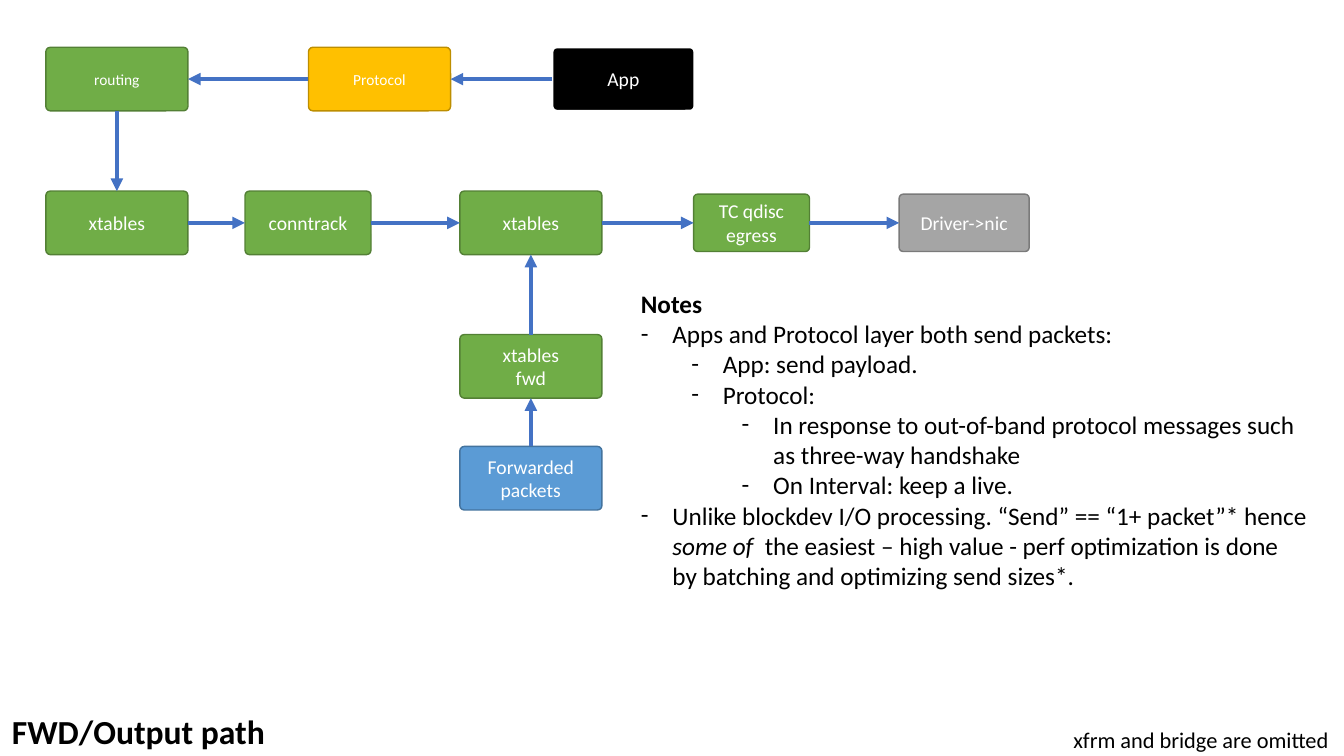
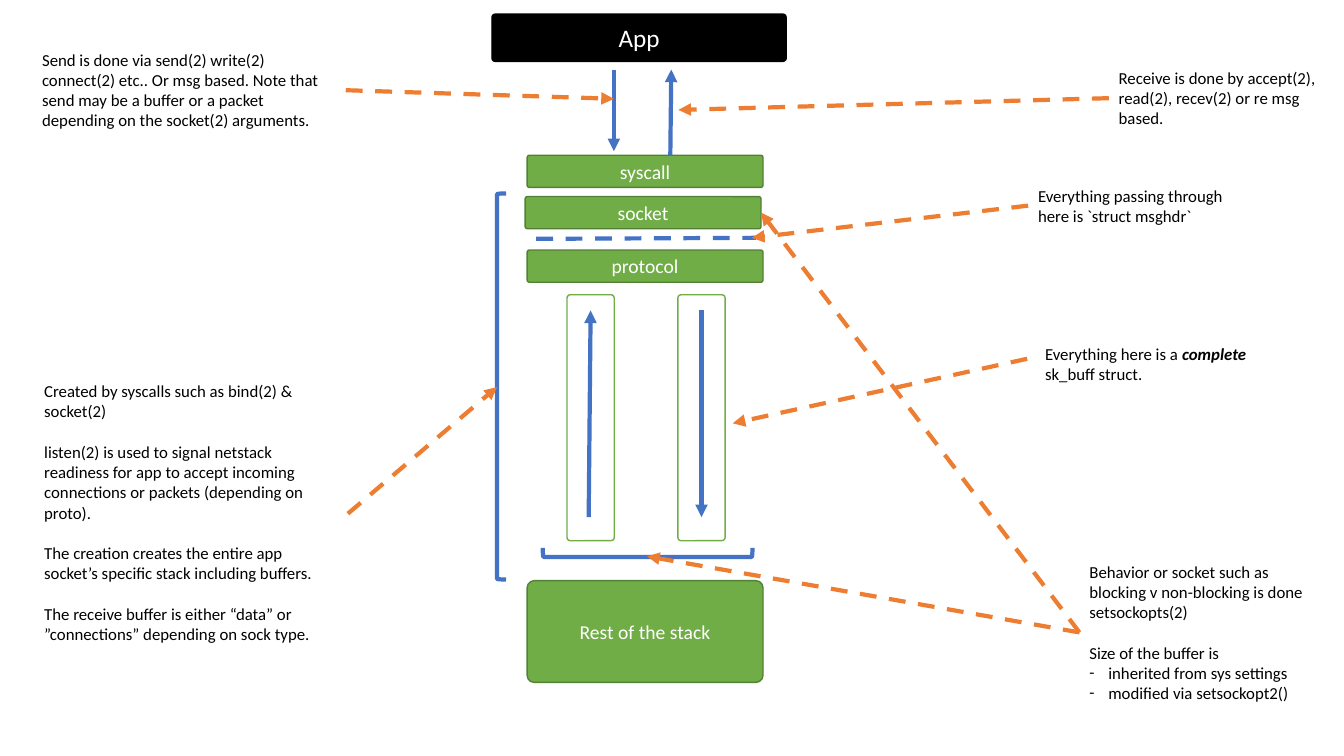
import pptx
import pptx.util
import pptx.dml.color
import pptx.enum.dml
import pptx.enum.shapes
import pptx.enum.text
import pptx.oxml.ns
import lxml.etree

Pt = pptx.util.Pt
RGB = pptx.dml.color.RGBColor
SHAPE = pptx.enum.shapes.MSO_SHAPE
qn = pptx.oxml.ns.qn

FONT = "Calibri"
BLACK = RGB(0x00, 0x00, 0x00)
WHITE = RGB(0xFF, 0xFF, 0xFF)
GREEN = RGB(0x70, 0xAD, 0x47)
DARK_GREEN = RGB(0x53, 0x80, 0x35)
GOLD = RGB(0xFF, 0xC0, 0x00)
DARK_GOLD = RGB(0xBD, 0x8E, 0x00)
GRAY = RGB(0xA5, 0xA5, 0xA5)
DARK_GRAY = RGB(0x7A, 0x7A, 0x7A)
SKY = RGB(0x5B, 0x9B, 0xD5)
DARK_SKY = RGB(0x43, 0x73, 0x9E)
BLUE = RGB(0x44, 0x72, 0xC4)
ORANGE = RGB(0xED, 0x7D, 0x31)

KERNEL = (GREEN, DARK_GREEN, 1)
PROTOCOL = (GOLD, DARK_GOLD, 1)
NIC = (GRAY, DARK_GRAY, 1)
FORWARDED = (SKY, DARK_SKY, 1)
APP = (BLACK, WHITE, 1.5)
APP_SOLID = (BLACK, BLACK, 1)
BUFFER = (WHITE, GREEN, 1)

TOP, LEFT, BOTTOM, RIGHT = range(4)
LINE_GAP = 14.6

ROW_APP, ROW_OUTPUT, ROW_FWD, ROW_IN = 56.5, 159.2, 261.7, 341.6
COL_LEFT, COL_MID = 83.5, 379.2
NODE = (101.5, 45.4)

PATH_BOXES = {
    "routing": (["routing"], (COL_LEFT, ROW_APP), NODE, KERNEL, 11),
    "protocol": (["Protocol"], (271.1, ROW_APP), NODE, PROTOCOL, 11),
    "app": (["App"], (445.3, ROW_APP), NODE, APP, 14),
    "output": (["xtables"], (COL_LEFT, ROW_OUTPUT), NODE, KERNEL, 14),
    "conntrack": (["conntrack"], (220, ROW_OUTPUT), (90, 45.4), KERNEL, 14),
    "post": (["xtables"], (COL_MID, ROW_OUTPUT), NODE, KERNEL, 14),
    "qdisc": (["TC qdisc egress"], (536.8, ROW_OUTPUT), (82.8, 41), KERNEL, 14),
    "nic": (["Driver->nic"], (688.7, ROW_OUTPUT), (92.9, 41), NIC, 14),
    "fwd": (["xtables", "fwd"], (COL_MID, ROW_FWD), NODE, KERNEL, 14),
    "in": (["Forwarded packets"], (COL_MID, ROW_IN), NODE, FORWARDED, 14),
}
PATH_ARROWS = [
    ("app", LEFT, "protocol", RIGHT),
    ("protocol", LEFT, "routing", RIGHT),
    ("routing", BOTTOM, "output", TOP),
    ("output", RIGHT, "conntrack", LEFT),
    ("conntrack", RIGHT, "post", LEFT),
    ("post", RIGHT, "qdisc", LEFT),
    ("qdisc", RIGHT, "nic", LEFT),
    ("in", TOP, "fwd", BOTTOM),
    ("fwd", TOP, "post", BOTTOM),
]
PATH_TEXTS = [
    ((1.4, 504, 240, 36), 24, 0, [(None, 0, [("FWD/Output path", "b")])]),
    ((759.6, 514.8, 200, 26.6), 16, 0,
     [(None, 0, [("xfrm and bridge are omitted", "")])]),
    ((450.7, 202.3, 491, 225.4), 18, 22.5, [
        (None, 0, [("Notes", "b")]),
        (0, 0, [("Apps and Protocol layer both send packets:", "")]),
        (1, 0, [("App: send payload.", "")]),
        (1, 0, [("Protocol:", "")]),
        (2, 0, [("In response to out-of-band protocol messages such as "
                 "three-way handshake", "")]),
        (2, 0, [("On Interval: keep a live.", "")]),
        (0, 0, [("Unlike blockdev I/O processing. “Send” == “1+ packet”* hence ", ""),
                ("some of ", "i"),
                (" the easiest – high value - perf optimization is done by "
                 "batching and optimizing send sizes*.", "")]),
    ]),
]

STACK_X = 460.8
LAYER = (168.5, 23)
STACK_BOXES = {
    "up_buffer": ([], (421.9, 298.4), (33.8, 175.7), BUFFER, 14),
    "down_buffer": ([], (501.1, 298.4), (33.8, 175.7), BUFFER, 14),
    "app": (["App"], (456.5, 27), (210.2, 33.8), APP_SOLID, 18),
    "syscall": (["syscall"], (STACK_X, 122.4), LAYER, KERNEL, 14),
    "socket": (["socket"], (459.4, 151.9), LAYER, KERNEL, 14),
    "protocol": (["protocol"], (STACK_X, 190.1), LAYER, KERNEL, 14),
    "rest": (["Rest of the stack"], (STACK_X, 451.1), (168.5, 72.7), KERNEL, 14),
}
STACK_FLOWS = [
    ((438.5, 49.7), (438.5, 108)),
    ((478.8, 110.9), (479.5, 49.7)),
    ((420.5, 369.4), (421.9, 221.8)),
    ((501.1, 221.8), (501.1, 369.4)),
]
MSGHDR_LINE = ((383, 170.6), (540, 169.9))
BRACKETS = [((358.2, 276.1), (6.5, 275.8), 0), ((462.6, 394.6), (6.5, 149.8), 270)]
STACK_TEXTS = {
    "create": ((24.5, 268.6, 224, 196.6), 12, 0, [
        (None, 0, [("Created by syscalls such as bind(2) & socket(2)", "")]),
        (None, LINE_GAP, [("listen(2) is used to signal netstack readiness for app to "
                           "accept incoming connections or packets (depending on proto).", "")]),
        (None, LINE_GAP, [("The creation creates the entire app socket’s specific "
                           "stack including buffers.", "")]),
        (None, LINE_GAP, [("The receive buffer is either “data” or ”connections” "
                           "depending on sock type.", "")]),
    ]),
    "options": ((771.1, 397.4, 168.5, 108.7), 12, 13.5, [
        (None, 0, [("Behavior or socket such as blocking v non-blocking is done "
                    "setsockopts(2)", "")]),
        (None, LINE_GAP, [("Size of the buffer is", "")]),
        (0, 0, [("inherited from sys settings", "")]),
        (0, 0, [("modified via setsockopt2()", "")]),
    ]),
    "send": ((23, 31.7, 224, 65.5), 12, 0, [
        (None, 0, [("Send is done via send(2) write(2) connect(2) etc.. Or msg based. "
                    "Note that send may be a buffer or a packet depending on the "
                    "socket(2) arguments.", "")]),
    ]),
    "receive": ((792, 44.6, 168.5, 51.1), 12, 0, [
        (None, 0, [("Receive is done by accept(2), read(2), recev(2) or re msg based.", "")]),
    ]),
    "msghdr": ((734.4, 128.9, 168.5, 36), 12, 0, [
        (None, 0, [("Everything passing through here is `struct msghdr`", "")]),
    ]),
    "skbuff": ((739.4, 241.9, 168.5, 36), 12, 0, [
        (None, 0, [("Everything here is a ", ""), ("complete ", "bi"),
                   ("sk_buff struct.", "")]),
    ]),
}
CALLOUTS = [
    ("create", RIGHT, (355, 276.5)),
    ("options", LEFT, "socket"),
    ("options", LEFT, (462.2, 397.4)),
    ("send", RIGHT, (438.5, 70.6)),
    ("receive", LEFT, (484.6, 78.5)),
    ("msghdr", LEFT, (537.1, 169.9)),
]
SKBUFF_CALLOUT = ((733.7, 256.3), (523.4, 302.4))


def add_run(p, text, size, color, style=""):
    r = p.add_run()
    r.text = text
    r.font.name, r.font.size = FONT, Pt(size)
    r.font.color.rgb = color
    if "b" in style:
        r.font.bold = True
    if "i" in style:
        r.font.italic = True


def paragraphs(tf, count):
    return [tf.paragraphs[0] if i == 0 else tf.add_paragraph() for i in range(count)]


def add_shape(s, kind, center, size):
    (cx, cy), (w, h) = center, size
    sp = s.shapes.add_shape(kind, Pt(cx - w / 2), Pt(cy - h / 2), Pt(w), Pt(h))
    sp.shadow.inherit = False
    return sp


def add_box(s, lines, center, size, style, font_size):
    fill, outline, weight = style
    sp = add_shape(s, SHAPE.ROUNDED_RECTANGLE, center, size)
    sp.adjustments[0] = 0.07
    sp.fill.solid()
    sp.fill.fore_color.rgb = fill
    sp.line.color.rgb = outline
    sp.line.width = Pt(weight)
    tf = sp.text_frame
    tf.word_wrap = True
    tf.vertical_anchor = pptx.enum.text.MSO_ANCHOR.MIDDLE
    for p, line in zip(paragraphs(tf, len(lines)), lines):
        p.alignment = pptx.enum.text.PP_ALIGN.CENTER
        add_run(p, line, font_size, WHITE)
    return sp


def add_bullet(p, level, hang):
    p.level = level
    pPr = p._p.get_or_add_pPr()
    pPr.set("marL", str(Pt(hang + 36 * level)))
    pPr.set("indent", str(-Pt(hang)))
    lxml.etree.SubElement(pPr, qn("a:buFont")).set("typeface", FONT)
    lxml.etree.SubElement(pPr, qn("a:buChar")).set("char", "-")


def add_text(s, at, size, hang, content):
    sp = s.shapes.add_textbox(*map(Pt, at))
    tf = sp.text_frame
    tf.word_wrap = True
    for p, (level, gap, runs) in zip(paragraphs(tf, len(content)), content):
        p.space_before = Pt(gap)
        if level is not None:
            add_bullet(p, level, hang)
        for text, style in runs:
            add_run(p, text, size, BLACK, style)
    return sp


def add_line(s, start, end, color=BLUE, dashed=False, arrow=True):
    c = s.shapes.add_connector(pptx.enum.shapes.MSO_CONNECTOR.STRAIGHT,
                               *map(Pt, start + end))
    c.line.color.rgb = color
    c.line.width = Pt(3)
    if dashed:
        c.line.dash_style = pptx.enum.dml.MSO_LINE.DASH
    if arrow:
        ln = c.line._get_or_add_ln()
        lxml.etree.SubElement(ln, qn("a:tailEnd")).set("type", "triangle")
    lxml.etree.SubElement(c._element.spPr, qn("a:effectLst"))
    return c


def add_bracket(s, center, size, rotation):
    sp = add_shape(s, SHAPE.LEFT_BRACKET, center, size)
    sp.rotation = rotation
    sp.fill.background()
    sp.line.color.rgb = BLUE
    sp.line.width = Pt(3)


def build_path_slide(s):
    boxes = {name: add_box(s, *box) for name, box in PATH_BOXES.items()}
    for source, source_side, target, target_side in PATH_ARROWS:
        c = add_line(s, (0, 0), (0, 0))
        c.begin_connect(boxes[source], source_side)
        c.end_connect(boxes[target], target_side)
    for text in PATH_TEXTS:
        add_text(s, *text)


def build_stack_slide(s):
    boxes = {name: add_box(s, *box) for name, box in STACK_BOXES.items()}
    for start, end in STACK_FLOWS:
        add_line(s, start, end)
    for bracket in BRACKETS:
        add_bracket(s, *bracket)
    add_line(s, *MSGHDR_LINE, dashed=True, arrow=False)
    texts = {name: add_text(s, *text) for name, text in STACK_TEXTS.items()}
    for source, side, target in CALLOUTS:
        glued = target in boxes
        c = add_line(s, (0, 0), (0, 0) if glued else target, ORANGE, dashed=True)
        c.begin_connect(texts[source], side)
        if glued:
            c.end_connect(boxes[target], RIGHT)
    add_line(s, *SKBUFF_CALLOUT, ORANGE, dashed=True)


def main():
    prs = pptx.Presentation()
    prs.slide_width, prs.slide_height = Pt(960), Pt(540)
    for build in (build_path_slide, build_stack_slide):
        build(prs.slides.add_slide(prs.slide_layouts[6]))
    prs.save("out.pptx")


if __name__ == "__main__":
    main()
